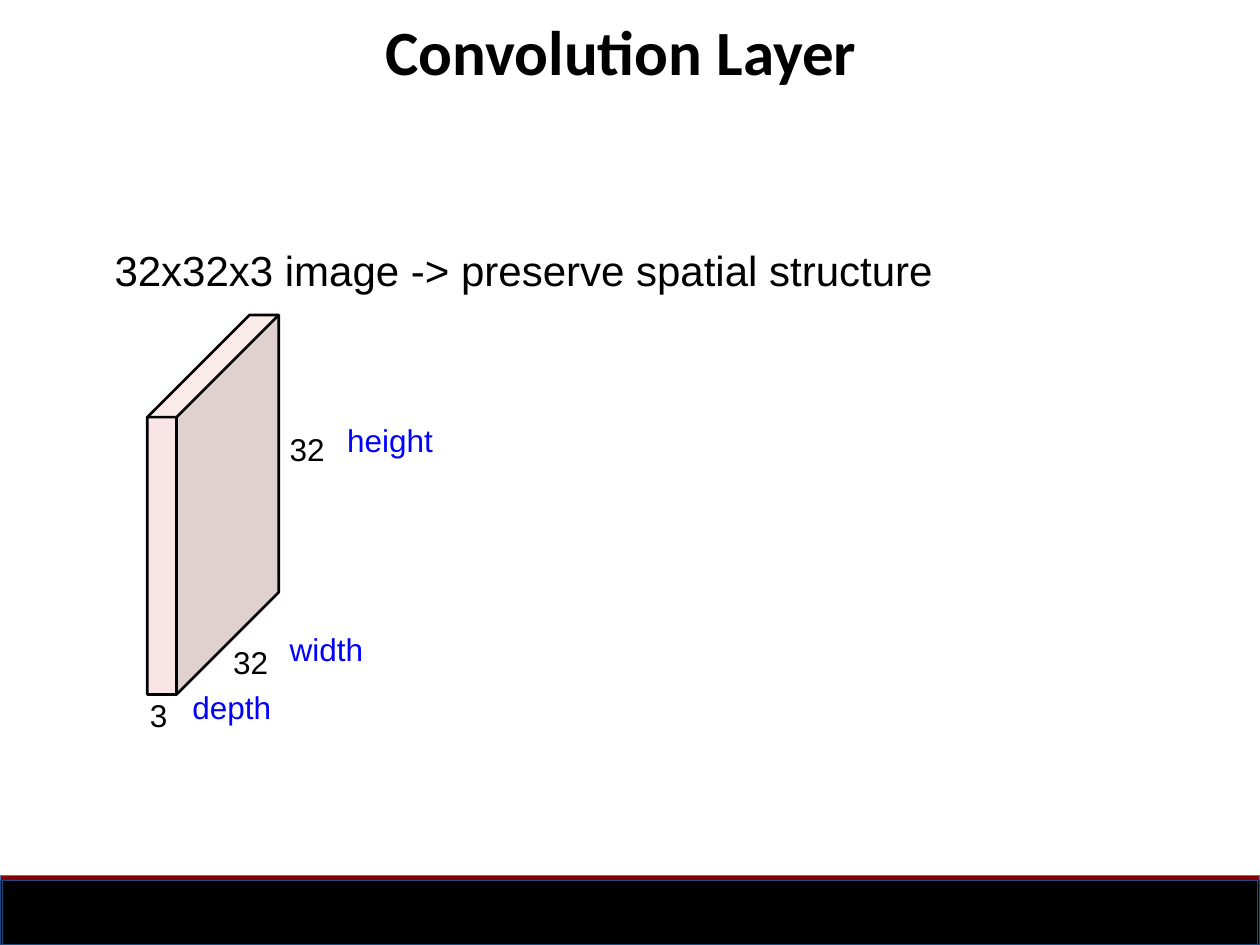
from lxml import etree
from pptx import Presentation
from pptx.dml.color import RGBColor
from pptx.enum import shapes, text
from pptx.oxml.ns import qn
from pptx.util import Cm, Pt

BLACK = RGBColor(0x00, 0x00, 0x00)
BLUE = RGBColor(0x00, 0x00, 0xFF)
RED = RGBColor(0x85, 0x00, 0x00)
NAVY = RGBColor(0x1F, 0x49, 0x7D)
STEEL = RGBColor(0x4A, 0x7E, 0xBB)
FRONT = RGBColor(0xF4, 0xCC, 0xCC)
SIDE = RGBColor(0xC3, 0xA3, 0xA3)
TOP = RGBColor(0xF6, 0xD6, 0xD6)

deck = Presentation()
deck.slide_width, deck.slide_height = Cm(25.4), Cm(19.05)
slide = deck.slides.add_slide(deck.slide_layouts[5])


def write(words, x, y, w, h, size=18, color=BLACK, font="Arial", bold=False, box=None):
    """Write one left-aligned line in a given box or in a new text box."""
    box = box or slide.shapes.add_textbox(0, 0, 0, 0)
    box.left, box.top, box.width, box.height = Cm(x), Cm(y), Cm(w), Cm(h)
    frame = box.text_frame
    frame.word_wrap = True
    frame.auto_size = text.MSO_AUTO_SIZE.NONE
    frame.vertical_anchor = text.MSO_ANCHOR.TOP
    frame.margin_left = frame.margin_right = frame.margin_bottom = 0
    frame.margin_top = Cm(0.03)
    frame.text = words
    line = frame.paragraphs[0]
    line.alignment = text.PP_ALIGN.LEFT
    style = line.runs[0].font
    style.name, style.size, style.bold = font, Pt(size), bold
    style.color.rgb = color


def trace(*paths, closed=True):
    """Draw one freeform from paths of points in centimetres."""
    pen = None
    for path in paths:
        (x, y), *rest = [(Cm(a), Cm(b)) for a, b in path]
        if pen is None:
            pen = slide.shapes.build_freeform(x, y)
        else:
            pen.move_to(x, y)
        pen.add_line_segments(rest, close=closed)
    form = pen.convert_to_shape()
    form.shadow.inherit = False
    return form


# Footer bands
for x, y, fill, edge in ((0, 17.65, RED, STEEL), (0, 17.75, BLACK, NAVY),
                         (0.05, 17.75, BLACK, NAVY)):
    band = slide.shapes.add_shape(shapes.MSO_SHAPE.RECTANGLE, Cm(x), Cm(y),
                                  Cm(25.4 - 2 * x), Cm(19.05 - y))
    band.shadow.inherit = False
    band.fill.solid()
    band.fill.fore_color.rgb = fill
    band.line.color.rgb = edge
    band.line.width = Pt(0.75)

# Corners of the image volume: near edge, depth and skew
left, top, base = 2.97, 8.41, 14
right, skew = left + 0.59, 2.06
a, b, c, d = (left, top), (right, top), (right, base), (left, base)
e, f, g = [(x + skew, y - skew) for x, y in (a, b, c)]

# Translucent faces
for face, color in (((a, b, c, d), FRONT), ((b, f, g, c), SIDE), ((a, e, f, b), TOP)):
    form = trace(face)
    form.fill.solid()
    form.fill.fore_color.rgb = color
    form.line.fill.background()
    tint = form.fill._xPr.find(qn("a:solidFill"))[0]
    etree.SubElement(tint, qn("a:alpha")).set("val", "51000")

# Edges
edges = trace((a, e, f, g, c, d, a), (a, b, f), (b, c), closed=False)
edges.fill.background()
edges.line.color.rgb = BLACK
edges.line.width = Pt(1.5)

# Title and statement
write("Convolution Layer", 7.77, 0.23, 12, 1.57, size=36, font="Calibri",
      bold=True, box=slide.shapes.title)
write("32x32x3 image -> preserve spatial structure", 2.31, 4.9, 18.5, 1.07, size=24)

# Dimension labels
for words, x, y, w, color in (("32", 5.84, 8.64, 0.8, BLACK), ("height", 7, 8.46, 1.9, BLUE),
                              ("32", 4.7, 12.93, 0.8, BLACK), ("width", 5.84, 12.67, 1.6, BLUE),
                              ("3", 3.02, 14, 0.5, BLACK), ("depth", 3.88, 13.85, 1.7, BLUE)):
    write(words, x, y, w, 0.84, color=color)

deck.save("out.pptx")
